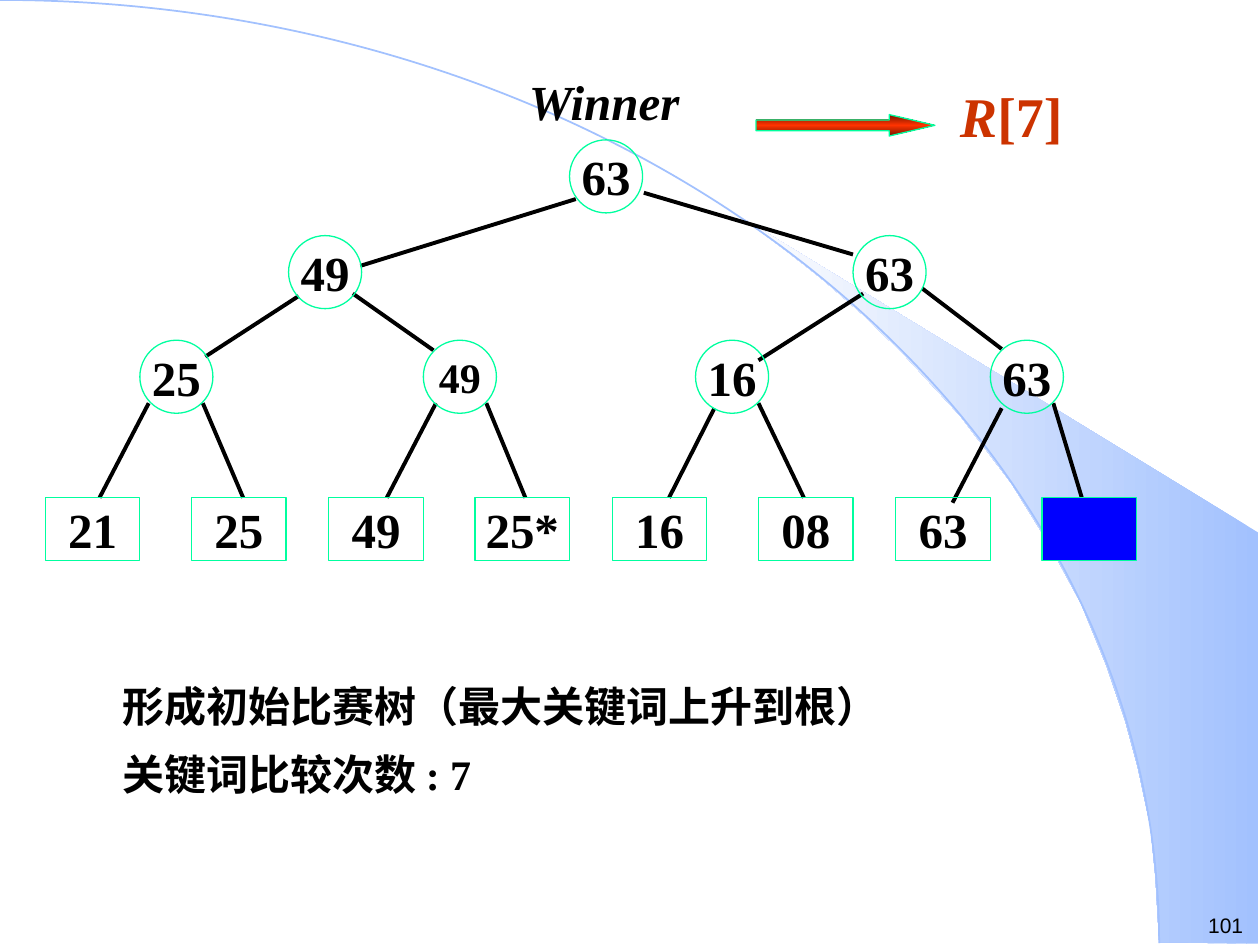
"""Builds the slide with the tournament tree whose winner goes to R[7]."""
from lxml import etree
from pptx import Presentation
from pptx import util as u
from pptx.dml.color import RGBColor
from pptx.enum import shapes, text
from pptx.oxml.ns import qn

COLORS = {"ink": "000000", "outline": "00FF9F", "empty": "0000FF", "sky": "A2C1FE",
          "pale": "FEFEFE", "rust": "751700", "flame": "FF3300", "result": "CC3300"}
SERIF = "Times New Roman"
NOTES = ["形成初始比赛树（最大关键词上升到根）", "关键词比较次数 : 7"]
LEAVES = ["21", "25", "49", "25*", "16", "08", "63", ""]
LEAF_LEFT, LEAF_TOP, LEAF_SIZE = 0.36, 3.95, (0.75, 0.5)
PAIR_STEP, CHILD_STEP = 2.25, 1.16
NODE_SIZE = (0.58, 0.58)
TIERS = [
    (1.11, [("63", 4.52, 28)]),
    (1.87, [("49", 2.29, 28), ("63", 6.77, 28)]),
    (2.7, [("25", 1.11, 28), ("49", 3.36, 24), ("16", 5.52, 28), ("63", 7.86, 28)]),
]
BRANCHES = [
    (5.11, 1.53, 6.77, 2.02), (4.57, 1.58, 2.86, 2.11),
    (6.85, 2.33, 6.02, 2.86), (7.32, 2.29, 7.95, 2.77),
    (2.37, 2.35, 1.63, 2.83), (2.8, 2.33, 3.44, 2.78),
    (1.18, 3.2, 0.79, 3.95), (1.61, 3.2, 1.93, 3.95),
    (3.46, 3.2, 3.07, 3.95), (3.86, 3.2, 4.17, 3.95),
    (5.67, 3.24, 5.31, 3.95), (6.02, 3.2, 6.38, 3.95),
    (7.95, 3.24, 7.56, 3.99), (8.36, 3.2, 8.61, 4.03),
]
BEAM = [(9.2, 7.48), (9.99, 7.49), (9.99, 4.23), (5.89, 1.73), (6.24, 1.99), (6.53, 2.22),
        (6.85, 2.5), (7.16, 2.8), (7.62, 3.3), (8.03, 3.84), (8.32, 4.31), (8.58, 4.79),
        (8.78, 5.28), (8.93, 5.72), (9.03, 6.09), (9.13, 6.56), (9.17, 6.96)]


def color(name):
    return RGBColor.from_string(COLORS[name])


def inches(*lengths):
    return [u.Inches(length) for length in lengths]


def style(span, size, name="ink", font=SERIF, bold=True, italic=False):
    span.font.size, span.font.name = u.Pt(size), font
    span.font.bold, span.font.italic = bold, italic
    span.font.color.rgb = color(name)


def add_shape(page, kind, at, fill=None, line="outline", width=0.75):
    shape = page.shapes.add_shape(kind, *inches(*at))
    shape.shadow.inherit = False
    if fill:
        shape.fill.solid()
        shape.fill.fore_color.rgb = color(fill)
    else:
        shape.fill.background()
    shape.line.color.rgb, shape.line.width = color(line), u.Pt(width)
    return shape


def set_gradient(shape, angle, names):
    shape.fill.gradient()
    shape.fill.gradient_angle = angle
    stops = shape.element.find(".//" + qn("a:gsLst"))
    for stop in list(stops):
        stops.remove(stop)
    for index, name in enumerate(names):
        position = 100000 * index // (len(names) - 1)
        stop = etree.SubElement(stops, qn("a:gs"), pos=str(position))
        etree.SubElement(stop, qn("a:srgbClr"), val=COLORS[name])


def add_value(page, kind, at, value, size=28, fill=None):
    shape = add_shape(page, kind, at, fill)
    if value:
        frame = shape.text_frame
        frame.text, frame.word_wrap = value, False
        frame.vertical_anchor = text.MSO_ANCHOR.MIDDLE
        para = frame.paragraphs[0]
        para.alignment = text.PP_ALIGN.CENTER
        style(para.runs[0], size)


def add_label(page, at, *words, wrap=False):
    frame = page.shapes.add_textbox(*inches(*at)).text_frame
    frame.word_wrap = wrap
    frame.auto_size = text.MSO_AUTO_SIZE.SHAPE_TO_FIT_TEXT
    for word, look in words:
        span = frame.paragraphs[0].add_run()
        span.text = word
        style(span, **look)


def add_backdrop(page):
    builder = page.shapes.build_freeform(*inches(*BEAM[0]))
    builder.add_line_segments([inches(*point) for point in BEAM[1:]], close=True)
    beam = builder.convert_to_shape()
    beam.shadow.inherit = False
    beam.line.fill.background()
    set_gradient(beam, 180, ["sky", "pale"])
    add_shape(page, shapes.MSO_SHAPE.ARC, (-9.2, 0, 18.4, 14.97), line="sky", width=1)


def add_notes(page):
    body = page.placeholders[1]
    page.shapes.element.append(body.element)
    body.left, body.top, body.width, body.height = inches(0.87, 5.21, 8.88, 1.54)
    frame = body.text_frame
    frame.text = "\n".join(NOTES)
    frame.auto_size = text.MSO_AUTO_SIZE.NONE
    for para in frame.paragraphs:
        props = para._p.get_or_add_pPr()
        props.set("marL", str(u.Inches(0.38)))
        props.set("indent", str(u.Inches(-0.38)))
        etree.SubElement(props, qn("a:buNone"))
        para.alignment = text.PP_ALIGN.JUSTIFY
        para.line_spacing, para.space_before = 1.35, u.Pt(0)
        style(para.runs[0], 24)


def add_tree(page):
    for ends in BRANCHES:
        branch = page.shapes.add_connector(shapes.MSO_CONNECTOR.STRAIGHT, *inches(*ends))
        branch.line.color.rgb, branch.line.width = color("ink"), u.Pt(2.25)
        etree.SubElement(branch.element.spPr, qn("a:effectLst"))
    for top, nodes in TIERS:
        for value, left, size in nodes:
            add_value(page, shapes.MSO_SHAPE.OVAL, (left, top, *NODE_SIZE), value, size)
    for index, value in enumerate(LEAVES):
        pair, child = divmod(index, 2)
        left = LEAF_LEFT + pair * PAIR_STEP + child * CHILD_STEP
        add_value(page, shapes.MSO_SHAPE.RECTANGLE, (left, LEAF_TOP, *LEAF_SIZE), value,
                  fill=None if value else "empty")


def add_result(page):
    add_label(page, (4.1, 0.52, 1.5, 0.57), ("Winner", dict(size=28, italic=True)))
    arrow = add_shape(page, shapes.MSO_SHAPE.RIGHT_ARROW, (6, 0.91, 1.42, 0.17))
    arrow.adjustments[0], arrow.adjustments[1] = 0.5, 2.13
    set_gradient(arrow, 270, ["rust", "flame", "rust"])
    add_label(page, (7.52, 0.6, 1.06, 0.64),
              ("R", dict(size=32, name="result", italic=True)),
              ("[7]", dict(size=32, name="result")))


def main():
    deck = Presentation()
    deck.slide_width, deck.slide_height = inches(10, 7.5)
    page = deck.slides.add_slide(deck.slide_layouts[1])
    title = page.shapes.title.element
    title.getparent().remove(title)
    add_backdrop(page)
    add_label(page, (9.49, 7.19, 0.51, 0.3),
              ("101", dict(size=12, font="Arial", bold=False)), wrap=True)
    add_notes(page)
    add_tree(page)
    add_result(page)
    deck.save("out.pptx")


if __name__ == "__main__":
    main()
